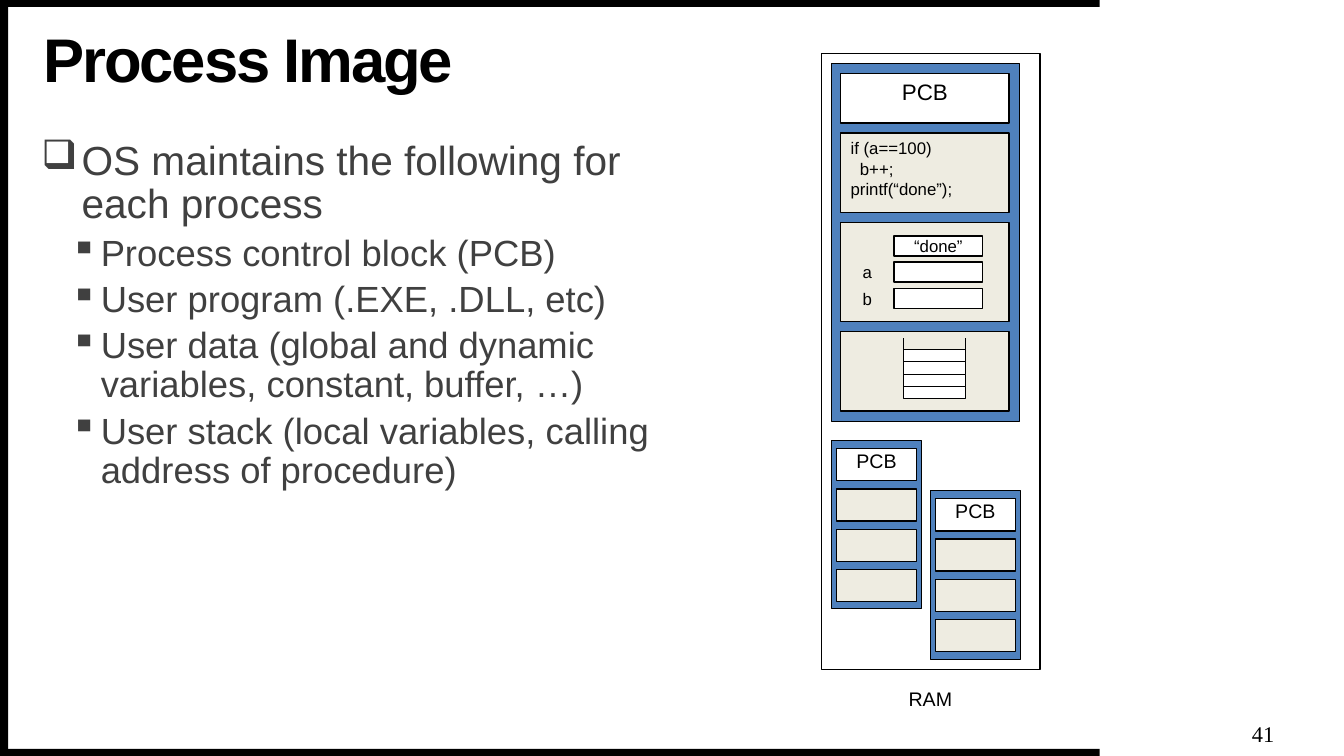
import pptx
import pptx.util
import pptx.dml.color
import pptx.enum.shapes
import pptx.enum.text
import pptx.oxml.ns
import lxml.etree

Pt = pptx.util.Pt
ALIGN = pptx.enum.text.PP_ALIGN
ANCHOR = pptx.enum.text.MSO_ANCHOR
BLACK, WHITE, BLUE, CREAM, GREY = "000000", "FFFFFF", "4F81BD", "EEECE1", "404040"


def add_rect(left, top, width, height, fill=None, line=None):
    """Add a rectangle, or a bare text box when no fill is given."""
    place = Pt(left), Pt(top), Pt(width), Pt(height)
    if fill is None:
        return page.shapes.add_textbox(*place)
    box = page.shapes.add_shape(pptx.enum.shapes.MSO_SHAPE.RECTANGLE, *place)
    box.shadow.inherit = False
    box.fill.solid()
    box.fill.fore_color.rgb = pptx.dml.color.RGBColor.from_string(fill)
    if line is None:
        box.line.fill.background()
    else:
        box.line.color.rgb = pptx.dml.color.RGBColor.from_string(BLACK)
        box.line.width = Pt(line)
    return box


def write(box, text, size, align=ALIGN.CENTER, anchor=ANCHOR.MIDDLE,
          inset=(0, 0), color=BLACK, font="Arial"):
    """Fill a box with text; inset is (sides, top and bottom)."""
    frame = box.text_frame
    frame.word_wrap = True
    frame.vertical_anchor = anchor
    frame.margin_left = frame.margin_right = Pt(inset[0])
    frame.margin_top = frame.margin_bottom = Pt(inset[1])
    frame.text = text
    for para in frame.paragraphs:
        para.alignment = align
        for span in para.runs:
            span.font.size = Pt(size)
            span.font.name = font
            span.font.color.rgb = pptx.dml.color.RGBColor.from_string(color)
    return frame


deck = pptx.Presentation()
deck.slide_width, deck.slide_height = Pt(960), Pt(540)
page = deck.slides.add_slide(deck.slide_layouts[6])

# Border bars
for bar in ((0, 535, 785.5, 5), (0, 0, 785.5, 5), (0, 0, 5.8, 540)):
    add_rect(*bar, BLACK)

# Title and page number
title = write(add_rect(31, 18, 724, 53.3), "Process Image", 44, ALIGN.LEFT)
title.paragraphs[0].line_spacing = 0.9
title_font = title.paragraphs[0].runs[0].font
title_font.bold = True
title.paragraphs[0].runs[0]._r.get_or_add_rPr().set("spc", "-150")
write(add_rect(891.4, 513.4, 21.6, 21.6), "41", 16, font="Times New Roman")

# Bulleted text
points = [
    "OS maintains the following for each process",
    "Process control block (PCB)",
    "User program (.EXE, .DLL, etc)",
    "User data (global and dynamic variables, constant, buffer, …)",
    "User stack (local variables, calling address of procedure)",
]
body = write(add_rect(29.5, 100, 465, 368.6), "\n".join(points), 26,
             ALIGN.LEFT, ANCHOR.TOP, color=GREY)
for index, para in enumerate(body.paragraphs):
    bullet, margin, hang = ("▪", 42.5, 21.6) if index else ("❑", 28.8, 28.8)
    props = para._p.get_or_add_pPr()
    props.set("marL", str(Pt(margin)))
    props.set("indent", str(-Pt(hang)))
    para.line_spacing = 0.9
    if index:
        para.level = 1
        para.space_before = Pt(5)
    else:
        para.runs[0].font.size = Pt(29)
    mark = lxml.etree.SubElement(props, pptx.oxml.ns.qn("a:buChar"))
    mark.set("char", bullet)

# Memory
add_rect(586.8, 38.2, 156.2, 440, WHITE, 1)
write(add_rect(607.7, 485.3, 113.8, 28), "RAM", 14)

# Detailed process: control block, code, data and stack
add_rect(594, 45.4, 134.6, 255.4, BLUE, 0.75)
blocks = []
top = 52.5
for height, fill in ((35.5, WHITE), (56.9, CREAM), (70.6, CREAM), (56.9, CREAM)):
    blocks.append(add_rect(600.5, top, 120.4, height, fill, 1))
    top += height + 7.1
write(blocks[0], "PCB", 16, anchor=ANCHOR.TOP, inset=(7.2, 3.6))
write(blocks[1], "if (a==100)\n  b++;\nprintf(“done”);", 12,
      ALIGN.LEFT, ANCHOR.TOP, (7.2, 3.6))

for row, (label, value) in enumerate((("", "“done”"), ("a", ""), ("b", ""))):
    top = 168.5 + 18.7 * row
    cell = add_rect(638.6, top, 63.4, 14.4, WHITE, 1)
    if value:
        write(cell, value, 12)
    if label:
        write(add_rect(600.5, top, 38.1, 14.4), label, 12)

stack_left, stack_top, stack_width, slot = 645.1, 249.8, 44.6, 8.7
for row in range(4):
    add_rect(stack_left, stack_top + slot * row, stack_width, slot, WHITE, 0.75)
for x in (stack_left, stack_left + stack_width):
    side = page.shapes.add_connector(
        pptx.enum.shapes.MSO_CONNECTOR.STRAIGHT,
        Pt(x), Pt(stack_top), Pt(x), Pt(stack_top - slot))
    side.line.color.rgb = pptx.dml.color.RGBColor.from_string(BLACK)
    side.line.width = Pt(0.75)
    lxml.etree.SubElement(side._element.spPr, pptx.oxml.ns.qn("a:effectLst"))

# Two smaller processes
for left, top in ((594, 314.6), (664.6, 350.4)):
    add_rect(left, top, 64.1, 120.4, BLUE, 0.75)
    for row in range(4):
        part = add_rect(left + 3.6, top + 5.8 + 28.8 * row, 57, 23,
                        CREAM if row else WHITE, 1)
        if row == 0:
            write(part, "PCB", 14, anchor=ANCHOR.TOP, inset=(7.2, 0))

deck.save("out.pptx")
